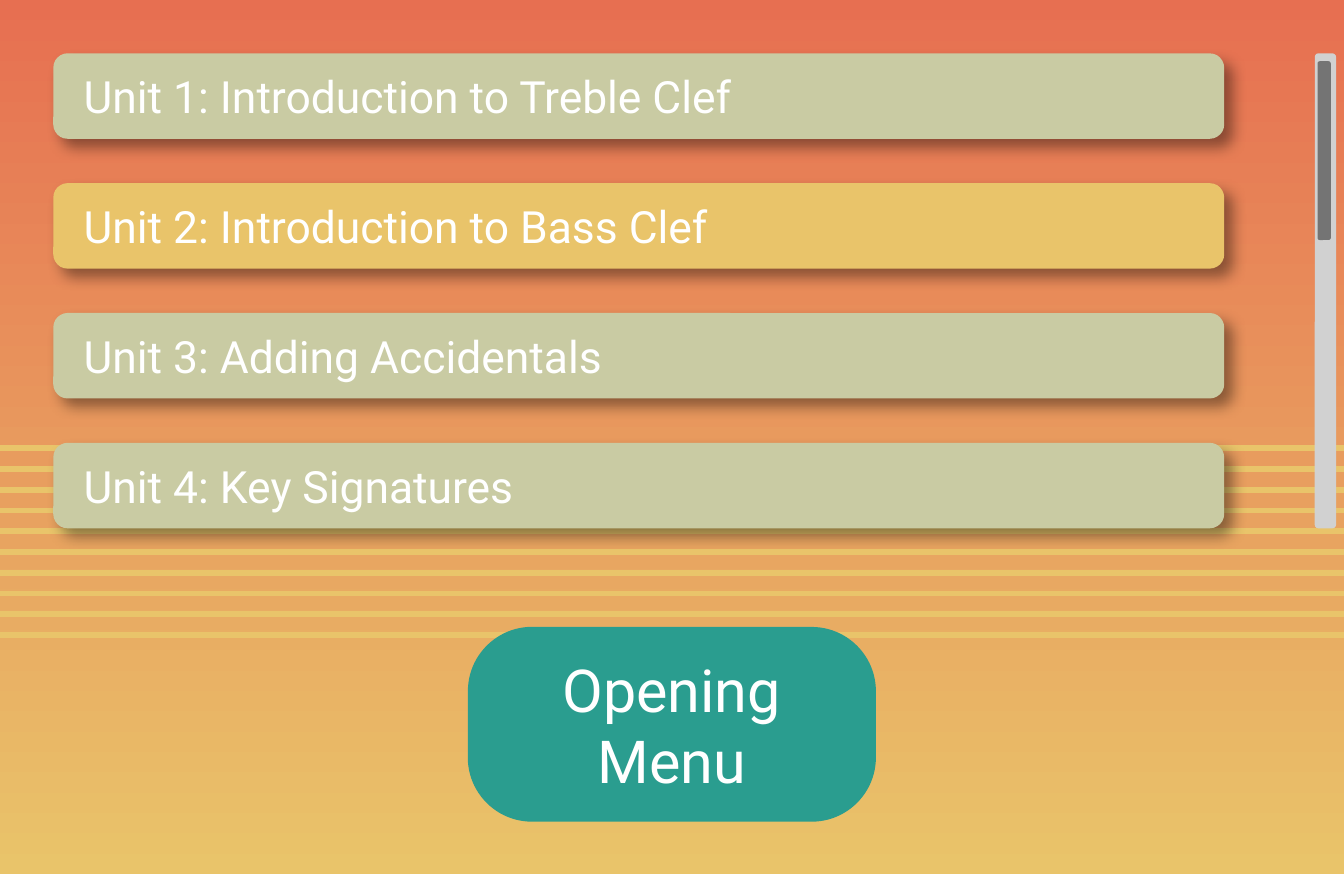
from lxml.etree import SubElement
from pptx import Presentation
from pptx.dml.color import RGBColor
from pptx.enum.shapes import MSO_CONNECTOR as Connector, MSO_SHAPE as Shape
from pptx.enum.text import MSO_ANCHOR as Anchor, PP_ALIGN as Align
from pptx.oxml.ns import qn
from pptx.util import Cm, Inches, Pt

# Content
UNITS = [
    ("Unit 1: Introduction to Treble Clef", "C9CBA3"),
    ("Unit 2: Introduction to Bass Clef", "E9C46A"),
    ("Unit 3: Adding Accidentals", "C9CBA3"),
    ("Unit 4: Key Signatures", "C9CBA3"),
]
BUTTON = "Opening Menu"
FONT = "Roboto"
CORAL, GOLD, TEAL, WHITE = "E76F51", "E9C46A", "2A9D8F", "FFFFFF"
TRACK_GREY, THUMB_GREY = "D1D1D1", "747474"

# Layout in inches, on a 12.8 by 8.32 cm slide
SLIDE_WIDTH, SLIDE_HEIGHT = Cm(12.8), Cm(8.32)
WIDTH = SLIDE_WIDTH.inches
LIST_LEFT, LIST_TOP, LIST_WIDTH, LIST_HEIGHT = 0.2, 0.2, 4.39, 1.78
UNIT_HEIGHT = 0.32
UNIT_STEP = (LIST_HEIGHT - UNIT_HEIGHT) / (len(UNITS) - 1)
STAFF_TOP, STAFF_BOTTOM, STAFF_LINES, OVERHANG = 1.68, 2.38, 10, 0.04
STAFF_STEP = (STAFF_BOTTOM - STAFF_TOP) / (STAFF_LINES - 1)
BUTTON_WIDTH, BUTTON_HEIGHT, BUTTON_TOP = 1.53, 0.73, 2.35


def color(value):
    return RGBColor.from_string(value)


def add_box(left, top, width, height, fill):
    box = slide.shapes.add_shape(
        Shape.ROUNDED_RECTANGLE, *map(Inches, (left, top, width, height)))
    box.fill.solid()
    box.fill.fore_color.rgb = color(fill)
    box.line.fill.background()
    box.shadow.inherit = False
    return box


def write(box, text, size, align):
    frame = box.text_frame
    frame.word_wrap = True
    frame.vertical_anchor = Anchor.MIDDLE
    para = frame.paragraphs[0]
    para.alignment = align
    span = para.add_run()
    span.text = text
    span.font.name = FONT
    span.font.size = Pt(size)
    span.font.color.rgb = color(WHITE)


def add_drop_shadow(box):
    effects = box.element.spPr.find(qn("a:effectLst"))
    shadow = SubElement(effects, qn("a:outerShdw"), blurRad=str(Pt(4)),
                        dist=str(Pt(3)), dir="2700000", algn="tl", rotWithShape="0")
    black = SubElement(shadow, qn("a:srgbClr"), val="000000")
    SubElement(black, qn("a:alpha"), val="40000")


deck = Presentation()
deck.slide_width, deck.slide_height = SLIDE_WIDTH, SLIDE_HEIGHT
slide = deck.slides.add_slide(deck.slide_layouts[6])

# Background gradient, top to bottom
backdrop = slide.background.fill
backdrop.gradient()
backdrop.gradient_angle = 270
for stop, position, shade in zip(backdrop.gradient_stops, (0, 1), (CORAL, GOLD)):
    stop.position = position
    stop.color.rgb = color(shade)

# Staff lines
for index in range(STAFF_LINES):
    y = Inches(STAFF_TOP + index * STAFF_STEP)
    line = slide.shapes.add_connector(
        Connector.STRAIGHT, Inches(-OVERHANG), y, Inches(WIDTH + OVERHANG), y)
    line.line.color.rgb = color(GOLD)
    line.line.width = Pt(1.5)
    SubElement(line.element.spPr, qn("a:effectLst"))

# Unit list
for index, (title, fill) in enumerate(UNITS):
    unit = add_box(LIST_LEFT, LIST_TOP + index * UNIT_STEP, LIST_WIDTH, UNIT_HEIGHT, fill)
    add_drop_shadow(unit)
    write(unit, title, 12, Align.LEFT)

# Menu button
button = add_box((WIDTH - BUTTON_WIDTH) / 2, BUTTON_TOP, BUTTON_WIDTH, BUTTON_HEIGHT, TEAL)
button.adjustments[0] = 0.33
write(button, BUTTON, 16, Align.CENTER)

# Scroll bar: track and thumb
add_box(4.93, LIST_TOP, 0.08, LIST_HEIGHT, TRACK_GREY)
add_box(4.94, LIST_TOP + 0.03, 0.05, 0.67, THUMB_GREY)

deck.save("out.pptx")
